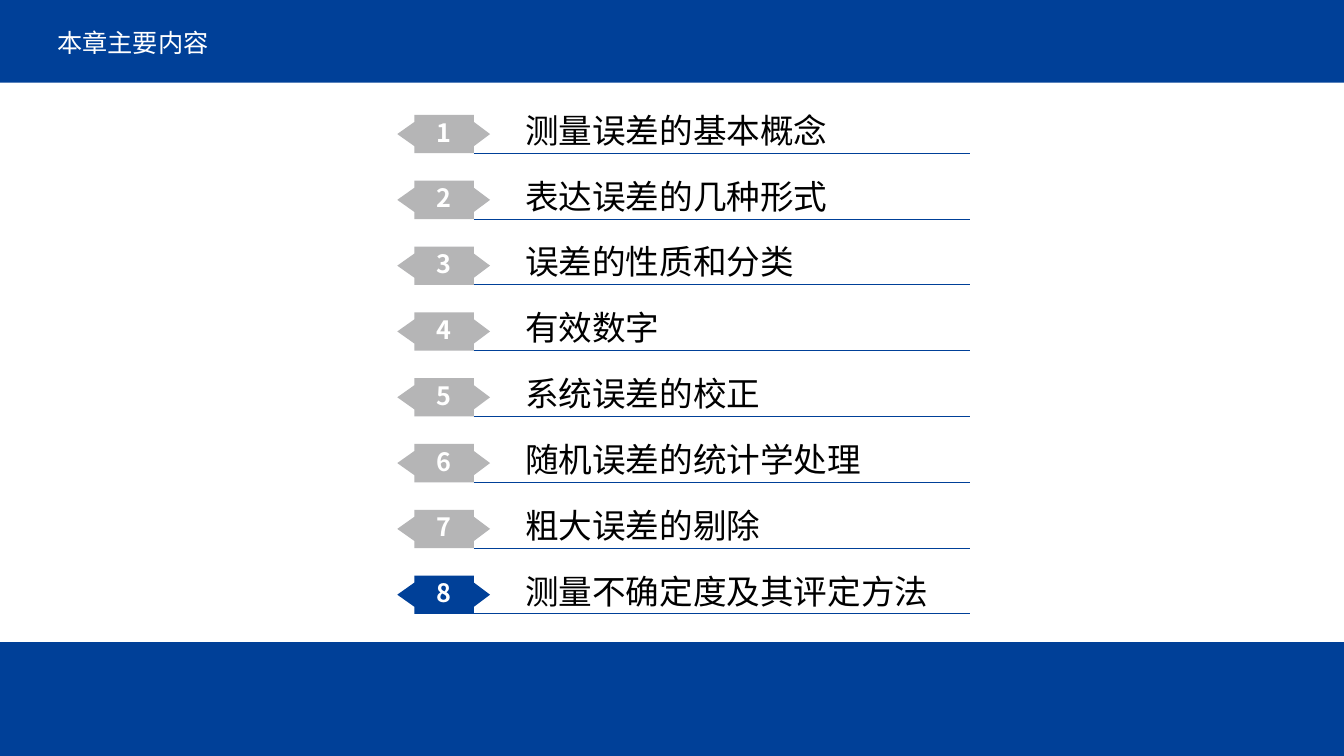
import pptx
import pptx.util
import pptx.dml.color
import pptx.enum.shapes
import pptx.enum.text
import pptx.oxml
import pptx.oxml.ns

Inches = pptx.util.Inches
BLUE = pptx.dml.color.RGBColor(0x00, 0x40, 0x98)
GRAY = pptx.dml.color.RGBColor(0xB5, 0xB5, 0xB6)
WHITE = pptx.dml.color.RGBColor(0xFF, 0xFF, 0xFF)
BLACK = pptx.dml.color.RGBColor(0x00, 0x00, 0x00)
SERIF = "Times New Roman"
SANS = "Noto Sans CJK SC"

TOPICS = [
    "测量误差的基本概念",
    "表达误差的几种形式",
    "误差的性质和分类",
    "有效数字",
    "系统误差的校正",
    "随机误差的统计学处理",
    "粗大误差的剔除",
    "测量不确定度及其评定方法",
]
CURRENT = 8
FIRST_TOP = 1.14
LAST_TOP = 5.71
PITCH = (LAST_TOP - FIRST_TOP) / (len(TOPICS) - 1)
BADGE_OUTLINE = [
    (4.7, 0), (4.11, 0), (4.11, 0.07), (3.94, 0.19), (4.11, 0.31),
    (4.11, 0.38), (4.7, 0.38), (4.7, 0.31), (4.86, 0.19), (4.7, 0.07),
]

presentation = pptx.Presentation()
presentation.slide_width = Inches(13.33)
presentation.slide_height = Inches(7.5)
slide = presentation.slides.add_slide(presentation.slide_layouts[6])


def paint(shape, color):
    shape.shadow.inherit = False
    shape.fill.solid()
    shape.fill.fore_color.rgb = color
    shape.line.fill.background()


def add_label(text, left, top, width, height, size, font, color, wrap=True):
    label = slide.shapes.add_textbox(Inches(left), Inches(top), Inches(width), Inches(height))
    frame = label.text_frame
    frame.text = text
    frame.word_wrap = wrap
    run = frame.paragraphs[0].runs[0]
    run.font.size = pptx.util.Pt(size)
    run.font.name = font
    run.font.color.rgb = color
    east_asian = pptx.oxml.parse_xml(
        f'<a:ea {pptx.oxml.ns.nsdecls("a")} typeface="{SANS}"/>')
    run.font._element.find(pptx.oxml.ns.qn("a:latin")).addnext(east_asian)
    return frame


for top, height in [(6.37, 1.13), (0, 0.12), (0.09, 0.73)]:
    band = slide.shapes.add_shape(
        pptx.enum.shapes.MSO_SHAPE.RECTANGLE,
        0, Inches(top), presentation.slide_width, Inches(height))
    paint(band, BLUE)

title = add_label("本章主要内容", 0.47, 0.26, 9.44, 0.37, 18, SERIF, WHITE)
title.vertical_anchor = pptx.enum.text.MSO_ANCHOR.MIDDLE
title.paragraphs[0].line_spacing = 0.9

for number, topic in enumerate(TOPICS, start=1):
    top = FIRST_TOP + (number - 1) * PITCH

    corners = [(Inches(x), Inches(top + y)) for x, y in BADGE_OUTLINE]
    outline = slide.shapes.build_freeform(*corners[0])
    outline.add_line_segments(corners[1:], close=True)
    paint(outline.convert_to_shape(), BLUE if number == CURRENT else GRAY)

    numeral = add_label(str(number), 4.19, top - 0.07, 0.42, 0.48, 18, SANS, WHITE, wrap=False)
    numeral.vertical_anchor = pptx.enum.text.MSO_ANCHOR.MIDDLE
    numeral.paragraphs[0].alignment = pptx.enum.text.PP_ALIGN.CENTER
    numeral.paragraphs[0].runs[0].font.bold = True

    underline = slide.shapes.add_connector(
        pptx.enum.shapes.MSO_CONNECTOR.STRAIGHT,
        Inches(4.7), Inches(top + 0.38), Inches(9.62), Inches(top + 0.38))
    underline.line.color.rgb = BLUE
    underline.line.width = pptx.util.Pt(0.5)
    underline._element.spPr.append(
        pptx.oxml.parse_xml(f'<a:effectLst {pptx.oxml.ns.nsdecls("a")}/>'))

    heading = add_label(topic, 5.11, top - 0.1, 4.8, 0.5, 24, SERIF, BLACK)
    heading.auto_size = pptx.enum.text.MSO_AUTO_SIZE.SHAPE_TO_FIT_TEXT

presentation.save("out.pptx")
